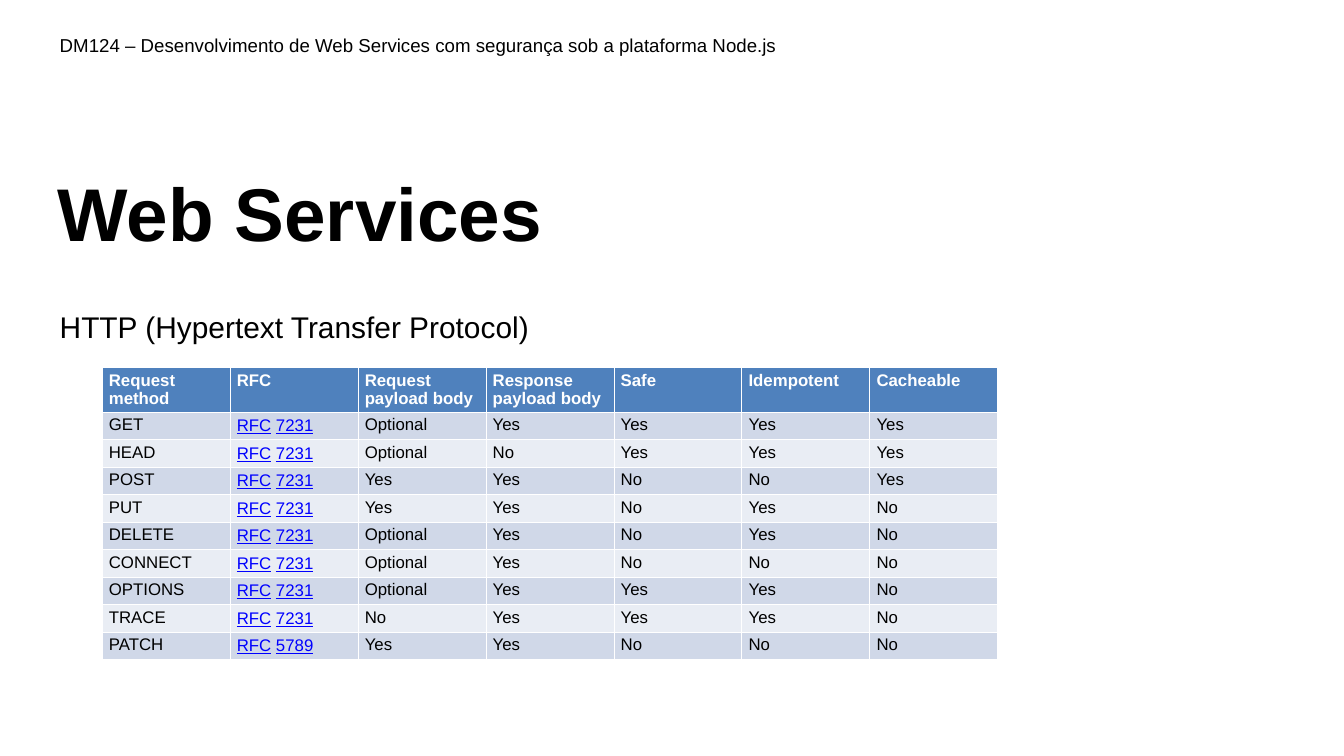
from pptx import Presentation
from pptx import util as u
from pptx.dml.color import RGBColor
from pptx.enum import text

BLACK = RGBColor(0x00, 0x00, 0x00)
WHITE = RGBColor(0xFF, 0xFF, 0xFF)
LINK_BLUE = RGBColor(0x00, 0x00, 0xFF)
HEADER_BLUE = RGBColor(0x4F, 0x81, 0xBD)
BAND_DARK = RGBColor(0xD0, 0xD8, 0xE8)
BAND_LIGHT = RGBColor(0xE9, 0xED, 0xF4)

HEADINGS = ["Request method", "RFC", "Request payload body", "Response payload body",
            "Safe", "Idempotent", "Cacheable"]
METHODS = [
    ["GET", "RFC 7231", "Optional", "Yes", "Yes", "Yes", "Yes"],
    ["HEAD", "RFC 7231", "Optional", "No", "Yes", "Yes", "Yes"],
    ["POST", "RFC 7231", "Yes", "Yes", "No", "No", "Yes"],
    ["PUT", "RFC 7231", "Yes", "Yes", "No", "Yes", "No"],
    ["DELETE", "RFC 7231", "Optional", "Yes", "No", "Yes", "No"],
    ["CONNECT", "RFC 7231", "Optional", "Yes", "No", "No", "No"],
    ["OPTIONS", "RFC 7231", "Optional", "Yes", "Yes", "Yes", "No"],
    ["TRACE", "RFC 7231", "No", "Yes", "Yes", "Yes", "No"],
    ["PATCH", "RFC 5789", "Yes", "Yes", "No", "No", "No"],
]
RFC_COLUMN = HEADINGS.index("RFC")


class SlideBuilder:
    """Holds the text style and the current slide."""

    def __init__(self, slide):
        self.slide = slide
        self.style = {"name": "Arial", "bold": False}

    def add_run(self, paragraph, content, color, **formats):
        run = paragraph.add_run()
        run.text = content
        for name, value in {**self.style, **formats}.items():
            setattr(run.font, name, value)
        run.font.color.rgb = color

    def fill_frame(self, frame, anchor, content, size, **formats):
        settings = {"word_wrap": True, "auto_size": text.MSO_AUTO_SIZE.NONE,
                    "vertical_anchor": anchor, "margin_top": u.Inches(0.08)}
        for name, value in settings.items():
            setattr(frame, name, value)
        paragraph = frame.paragraphs[0]
        paragraph.alignment = text.PP_ALIGN.LEFT
        self.add_run(paragraph, content, BLACK, size=u.Pt(size), **formats)

    def title(self, content, left, top, width, height, size):
        shape = self.slide.shapes.title
        box = {"left": left, "top": top, "width": width, "height": height}
        for name, value in box.items():
            setattr(shape, name, u.Inches(value))
        self.fill_frame(shape.text_frame, text.MSO_ANCHOR.MIDDLE, content, size, bold=True)

    def text_box(self, content, left, top, width, height, size):
        shape = self.slide.shapes.add_textbox(*map(u.Inches, (left, top, width, height)))
        self.fill_frame(shape.text_frame, text.MSO_ANCHOR.TOP, content, size)

    def cell(self, cell, content, fill, color, linked=False, **formats):
        cell.fill.solid()
        cell.fill.fore_color.rgb = fill
        paragraph = cell.text_frame.paragraphs[0]
        formats["size"] = u.Pt(18)
        if not linked:
            self.add_run(paragraph, content, color, **formats)
            return
        cell.vertical_anchor = text.MSO_ANCHOR.MIDDLE
        label, number = content.split()
        self.add_run(paragraph, label, LINK_BLUE, underline=True, **formats)
        self.add_run(paragraph, " ", color, **formats)
        self.add_run(paragraph, number, LINK_BLUE, underline=True, **formats)

    def table(self, headings, rows, left, top, width, row_height):
        height = row_height * (len(rows) + 1)
        frame = self.slide.shapes.add_table(len(rows) + 1, len(headings),
                                            *map(u.Inches, (left, top, width, height)))
        table = frame.table
        for column, heading in enumerate(headings):
            self.cell(table.cell(0, column), heading, HEADER_BLUE, WHITE, bold=True)
        for row, values in enumerate(rows, start=1):
            band = BAND_DARK if row % 2 else BAND_LIGHT
            for column, value in enumerate(values):
                self.cell(table.cell(row, column), value, band, BLACK, column == RFC_COLUMN)
        for row in table.rows:
            row.height = u.Inches(row_height)


def main():
    presentation = Presentation()
    presentation.slide_width = u.Inches(20)
    presentation.slide_height = u.Inches(11.25)
    builder = SlideBuilder(presentation.slides.add_slide(presentation.slide_layouts[5]))
    builder.title("Web Services", 0.76, 2.55, 17.35, 1.16, 80)
    builder.text_box("DM124 – Desenvolvimento de Web Services com segurança sob a plataforma Node.js",
                     0.79, 0.43, 14.81, 0.87, 20)
    builder.text_box("HTTP (Hypertext Transfer Protocol)", 0.79, 4.52, 14.81, 2.28, 32)
    builder.table(HEADINGS, METHODS, 1.52, 5.47, 13.33, 0.41)
    presentation.save("out.pptx")


if __name__ == "__main__":
    main()
